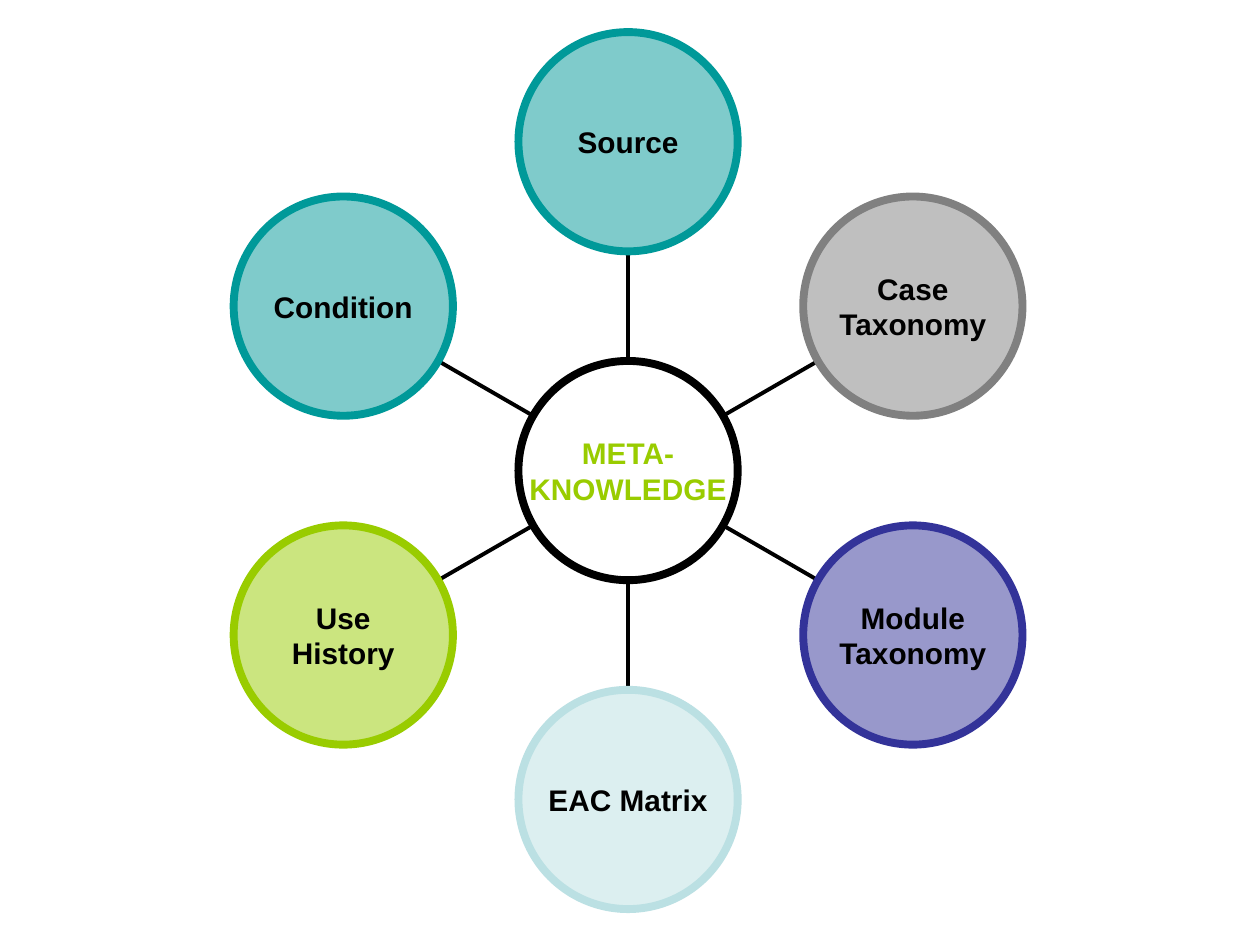
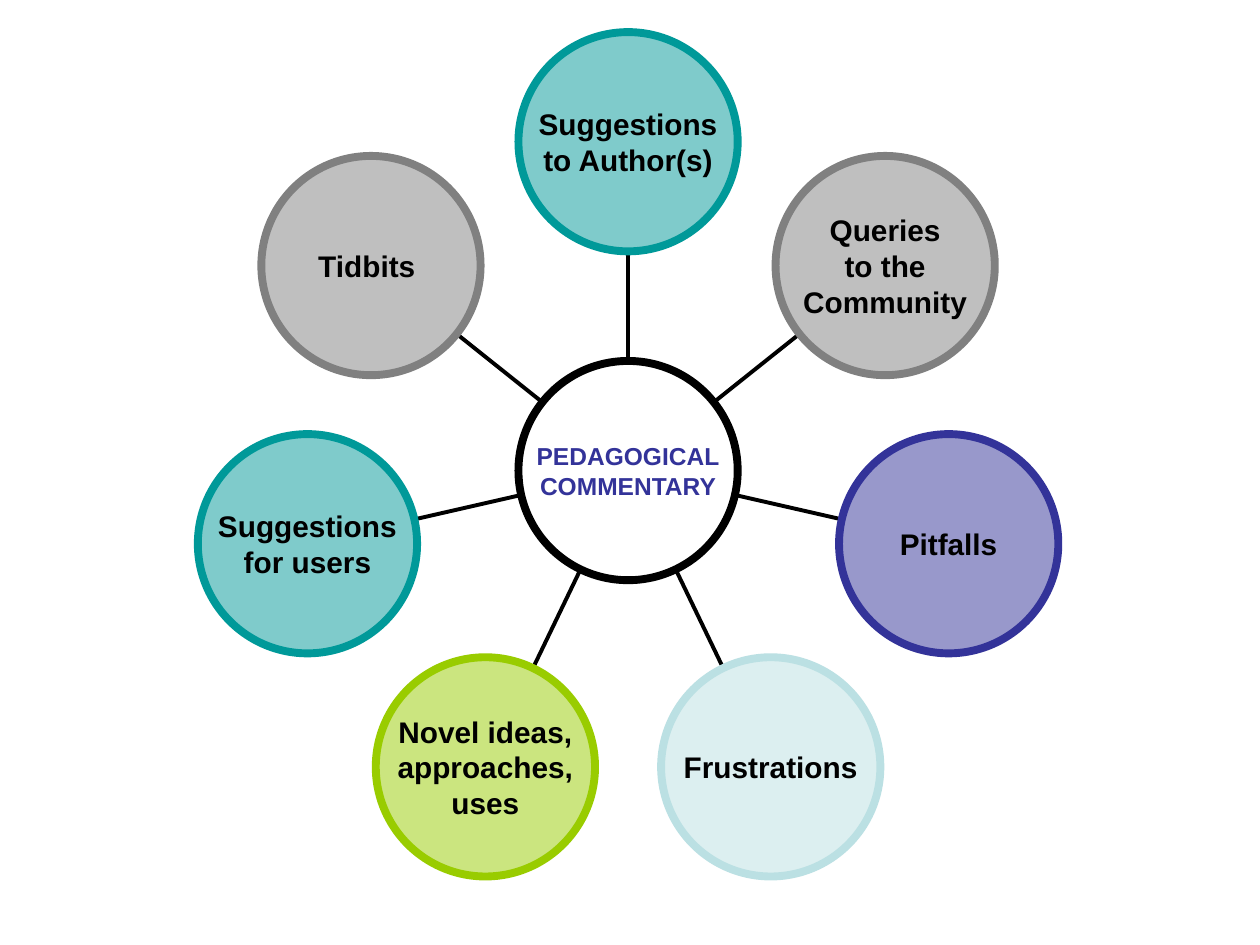
from math import cos, pi, sin

from pptx import Presentation
from pptx.dml.color import RGBColor
from pptx.enum.shapes import MSO_CONNECTOR as CONN, MSO_SHAPE as SHAPE
from pptx.enum.text import MSO_ANCHOR as ANCHOR, PP_ALIGN as ALIGN
from pptx.oxml.ns import qn
from pptx.oxml.xmlchemy import OxmlElement
from pptx.util import Inches, Pt

BLACK, WHITE, GREY = "000000", "FFFFFF", "808080"
TEAL, LIME, NAVY, ICE = "009999", "99CC00", "333399", "BBE0E3"


def rgb(code):
    return RGBColor.from_string(code)


def write(tf, text, size=17, color=BLACK, bold=True, font="Arial", align=ALIGN.CENTER):
    for i, line in enumerate(text.split("\n")):
        p = tf.paragraphs[0] if i == 0 else tf.add_paragraph()
        p.alignment = align
        r = p.add_run()
        r.text = line
        r.font.name, r.font.size, r.font.bold = font, Pt(size), bold
        r.font.color.rgb = rgb(color)


class RadialDeck:
    CENTER_X, CENTER_Y = 0.4985, 0.498
    RADIUS = 0.116
    ORBIT = 3
    OPACITY = 50
    OUTLINE, SPOKE = 4.5, 2.25

    def __init__(self):
        self.prs = Presentation()
        self.prs.slide_width, self.prs.slide_height = Inches(10), Inches(7.5)
        self.unit = self.prs.slide_height * self.RADIUS
        self.shapes = None

    def new_slide(self):
        slide = self.prs.slides.add_slide(self.prs.slide_layouts[6])
        self.shapes = slide.shapes.add_group_shape().shapes

    def point(self, angle, distance):
        x = self.prs.slide_width * self.CENTER_X + self.unit * distance * sin(angle)
        y = self.prs.slide_height * self.CENTER_Y - self.unit * distance * cos(angle)
        return round(x), round(y)

    def spoke(self, angle):
        start, end = self.point(angle, 1), self.point(angle, self.ORBIT - 1)
        line = self.shapes.add_connector(CONN.STRAIGHT, *start, *end)
        line.line.color.rgb = rgb(BLACK)
        line.line.width = Pt(self.SPOKE)
        line._element.spPr.append(OxmlElement("a:effectLst"))

    def circle(self, text, fill, outline, angle=0, distance=0, **text_format):
        x, y = self.point(angle, distance)
        r = round(self.unit)
        sp = self.shapes.add_shape(SHAPE.OVAL, x - r, y - r, 2 * r, 2 * r)
        sp.shadow.inherit = False
        sp.fill.solid()
        sp.fill.fore_color.rgb = rgb(fill)
        alpha = OxmlElement("a:alpha")
        alpha.set("val", str(self.OPACITY * 1000))
        sp._element.spPr.find(qn("a:solidFill"))[0].append(alpha)
        sp.line.color.rgb = rgb(outline)
        sp.line.width = Pt(self.OUTLINE)
        tf = sp.text_frame
        tf.word_wrap = False
        tf.vertical_anchor = ANCHOR.MIDDLE
        tf.margin_left = tf.margin_right = tf.margin_top = tf.margin_bottom = 0
        write(tf, text, **text_format)

    def radial(self, hub, nodes, **hub_format):
        self.new_slide()
        for i, (text, color) in reversed(list(enumerate(nodes))):
            angle = 2 * pi * i / len(nodes)
            self.spoke(angle)
            self.circle(text, color, color, angle, self.ORBIT)
        self.circle(hub, WHITE, BLACK, **hub_format)


def main():
    deck = RadialDeck()
    deck.radial("META-\nKNOWLEDGE", [
        ("Source", TEAL),
        ("Case\nTaxonomy", GREY),
        ("Module\nTaxonomy", NAVY),
        ("EAC Matrix", ICE),
        ("Use\nHistory", LIME),
        ("Condition", TEAL),
    ], color=LIME)
    deck.radial("PEDAGOGICAL\nCOMMENTARY", [
        ("Suggestions\nto Author(s)", TEAL),
        ("Queries\nto the\nCommunity", GREY),
        ("Pitfalls", NAVY),
        ("Frustrations", ICE),
        ("Novel ideas,\napproaches,\nuses", LIME),
        ("Suggestions\nfor users", TEAL),
        ("Tidbits ", GREY),
    ], color=NAVY, size=14)
    deck.prs.save("out.pptx")


if __name__ == "__main__":
    main()
